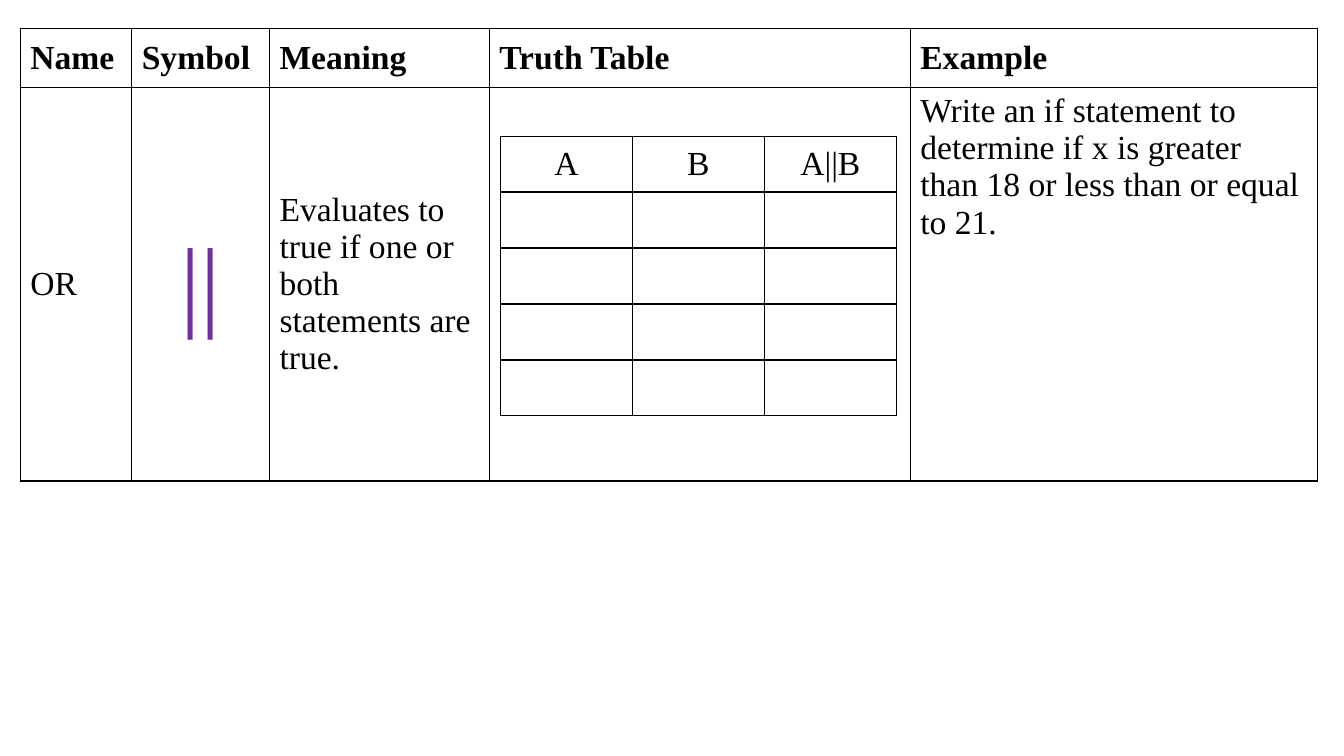
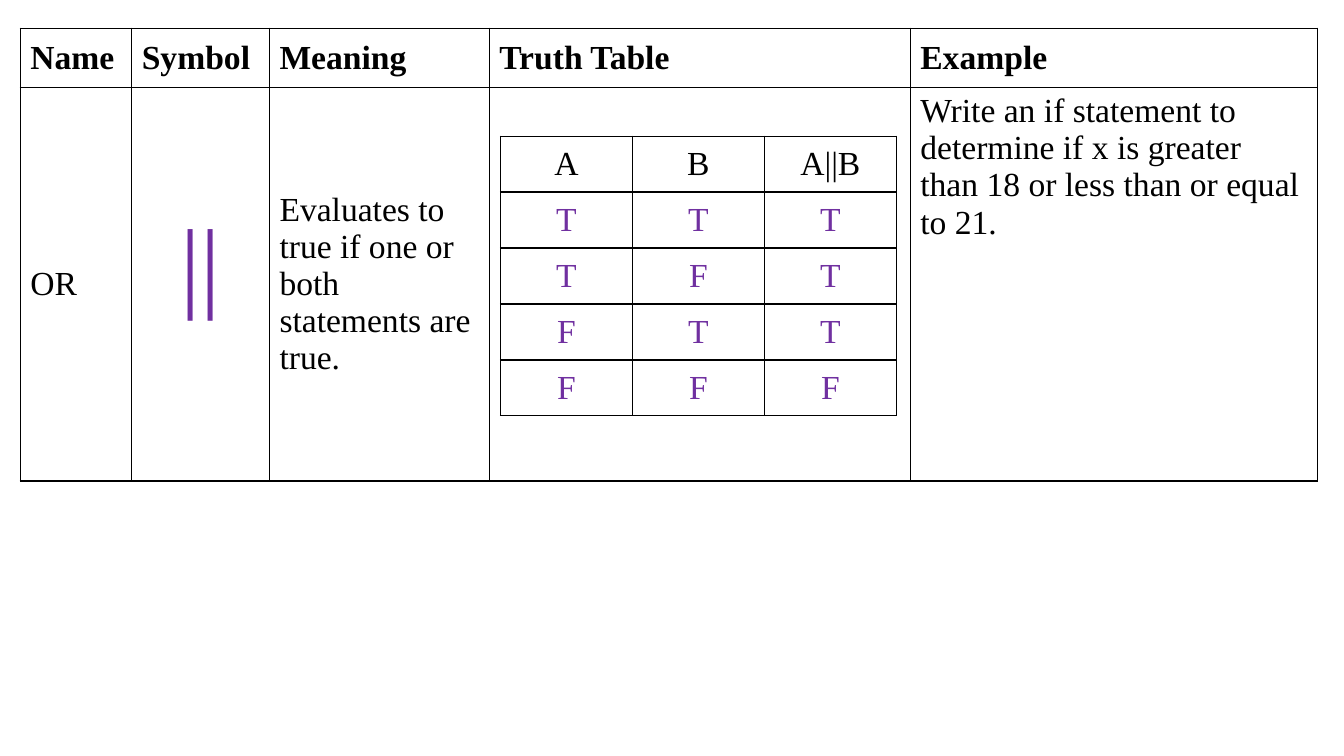
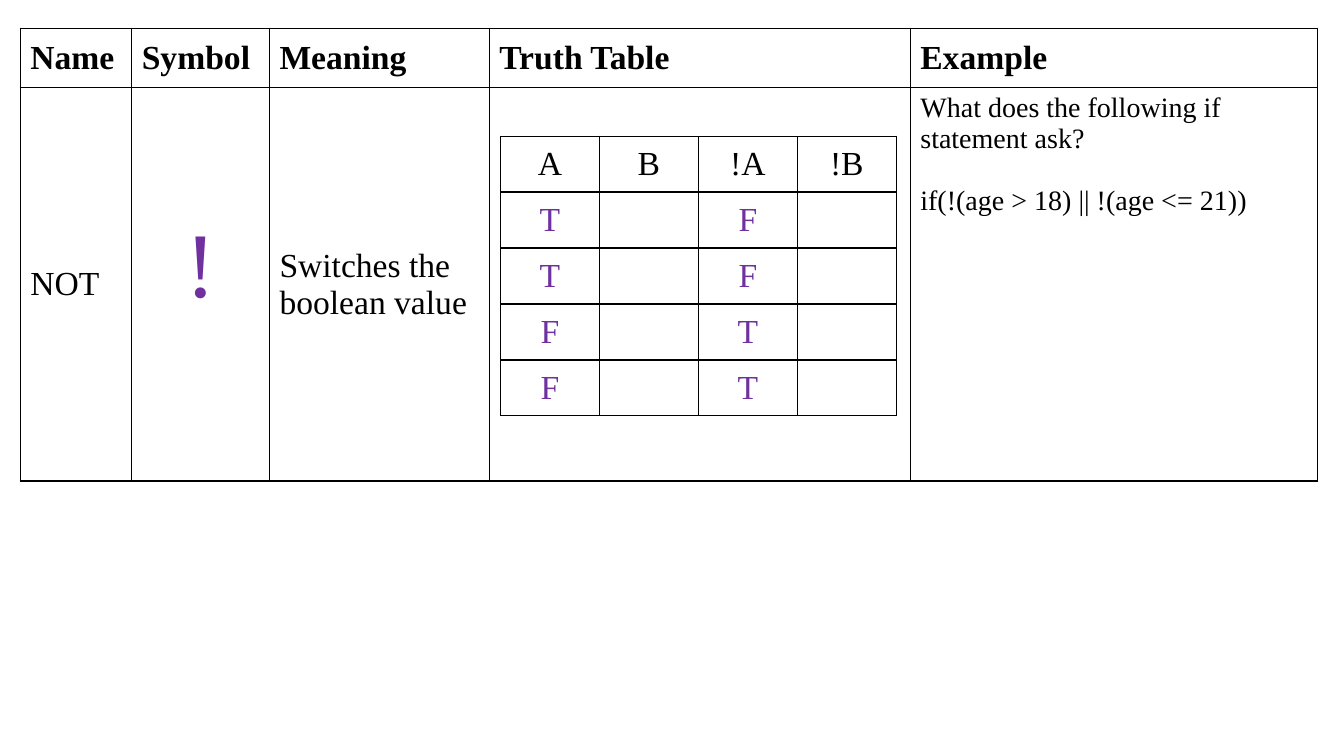
from itertools import product

from lxml import etree
from pptx import Presentation
from pptx.dml.color import RGBColor
from pptx.enum.text import MSO_ANCHOR, PP_ALIGN
from pptx.oxml.ns import qn
from pptx.util import Cm, Pt

LEFT, CENTER = PP_ALIGN.LEFT, PP_ALIGN.CENTER
TOP, MIDDLE = MSO_ANCHOR.TOP, MSO_ANCHOR.MIDDLE

FONT = "Times New Roman"
BLACK, PURPLE = "000000", "7030A0"

# Shared layout, in cm
OPERATOR_BOX = (0.51, 0.71)
OPERATOR_COLS = [2.81, 3.47, 5.54, 10.61, 10.26]
OPERATOR_ROWS = [1.5, 9.91]
HEADINGS = ["Name", "Symbol", "Meaning", "Truth Table", "Example"]
TRUTH_COL = HEADINGS.index("Truth Table")
TRUTH_INSET = (0.28, 1.22)
TRUTH_WIDTH, TRUTH_ROW = 9.98, 1.41

OR_MEANING = "Evaluates to true if one or both statements are true."
OR_EXAMPLE = ("Write an if statement to determine if x is greater than 18 "
              "or less than or equal to 21.")
OPERATORS = [
    dict(name="OR", symbol="||", meaning=OR_MEANING, example=[OR_EXAMPLE],
         truth=[["A", "B", "A||B"]] + [[""] * 3] * 4),
    dict(name="OR", symbol="||", meaning=OR_MEANING, example=[OR_EXAMPLE],
         truth=[["A", "B", "A||B"], "TTT", "TFT", "FTT", "FFF"],
         symbol_bottom=1.06),
    dict(name="NOT", symbol="!", meaning="Switches the boolean value",
         example=["What does the following if statement ask?",
                  "if(!(age > 18) || !(age <= 21))"],
         truth=[["A", "B", "!A", "!B"]]
         + [[a, "", not_a, ""] for a, not_a in ("TF", "TF", "FT", "FT")],
         symbol_size=66, symbol_bottom=1.06, example_size=20),
]


def rgb(color):
    return RGBColor.from_string(color)


def write(cell, *lines, size=24, color=BLACK, bold=False, align=LEFT,
          anchor=MIDDLE, gap=0):
    """Fill a cell with one paragraph per line, gap points apart."""
    cell.vertical_anchor = anchor
    tf = cell.text_frame
    for i, line in enumerate(lines):
        p = tf.add_paragraph() if i else tf.paragraphs[0]
        p.alignment = align
        if i:
            p.space_before = Pt(gap)
        r = p.add_run()
        r.text = line
        r.font.name, r.font.size, r.font.bold = FONT, Pt(size), bold
        r.font.color.rgb = rgb(color)


def outline(cell):
    """Give a cell thin black borders and no fill."""
    tc_pr = cell._tc.get_or_add_tcPr()
    for side in ("a:lnL", "a:lnR", "a:lnT", "a:lnB"):
        ln = etree.SubElement(tc_pr, qn(side), w=str(Pt(1)))
        fill = etree.SubElement(ln, qn("a:solidFill"))
        etree.SubElement(fill, qn("a:srgbClr"), val=BLACK)
    cell.fill.background()


def add_grid(s, x, y, cols, rows):
    """Add a plain outlined table with the given column and row sizes."""
    table = s.shapes.add_table(len(rows), len(cols), Cm(x), Cm(y),
                               Cm(sum(cols)), Cm(sum(rows))).table
    table.first_row = table.horz_banding = False
    for column, width in zip(table.columns, cols):
        column.width = Cm(width)
    for row, height in zip(table.rows, rows):
        row.height = Cm(height)
    for r, c in product(range(len(rows)), range(len(cols))):
        outline(table.cell(r, c))
    return table


def add_truth_table(s, x, y, truth):
    count = len(truth[0])
    table = add_grid(s, x, y, [TRUTH_WIDTH / count] * count,
                     [TRUTH_ROW] * len(truth))
    for r, values in enumerate(truth):
        for c, value in enumerate(values):
            if value:
                write(table.cell(r, c), value, align=CENTER,
                      color=PURPLE if r else BLACK)


def add_operator(s, x, y, name, symbol, meaning, example, truth,
                 symbol_size=72, symbol_bottom=0.13, example_size=24):
    table = add_grid(s, x, y, OPERATOR_COLS, OPERATOR_ROWS)
    for c, heading in enumerate(HEADINGS):
        write(table.cell(0, c), heading, bold=True)

    # Description of the operator
    write(table.cell(1, 0), name)
    symbol_cell = table.cell(1, 1)
    symbol_cell.margin_bottom = Cm(symbol_bottom)
    write(symbol_cell, symbol, size=symbol_size, color=PURPLE, align=CENTER)
    write(table.cell(1, 2), meaning)
    write(table.cell(1, 4), *example, size=example_size, anchor=TOP, gap=22)

    # Truth table inside its column
    add_truth_table(s, x + sum(OPERATOR_COLS[:TRUTH_COL]) + TRUTH_INSET[0],
                    y + OPERATOR_ROWS[0] + TRUTH_INSET[1], truth)


def main():
    prs = Presentation()
    prs.slide_width, prs.slide_height = Cm(33.87), Cm(19.05)
    blank = prs.slide_layouts[6]
    for operator in OPERATORS:
        add_operator(prs.slides.add_slide(blank), *OPERATOR_BOX, **operator)
    prs.save("out.pptx")


if __name__ == "__main__":
    main()
